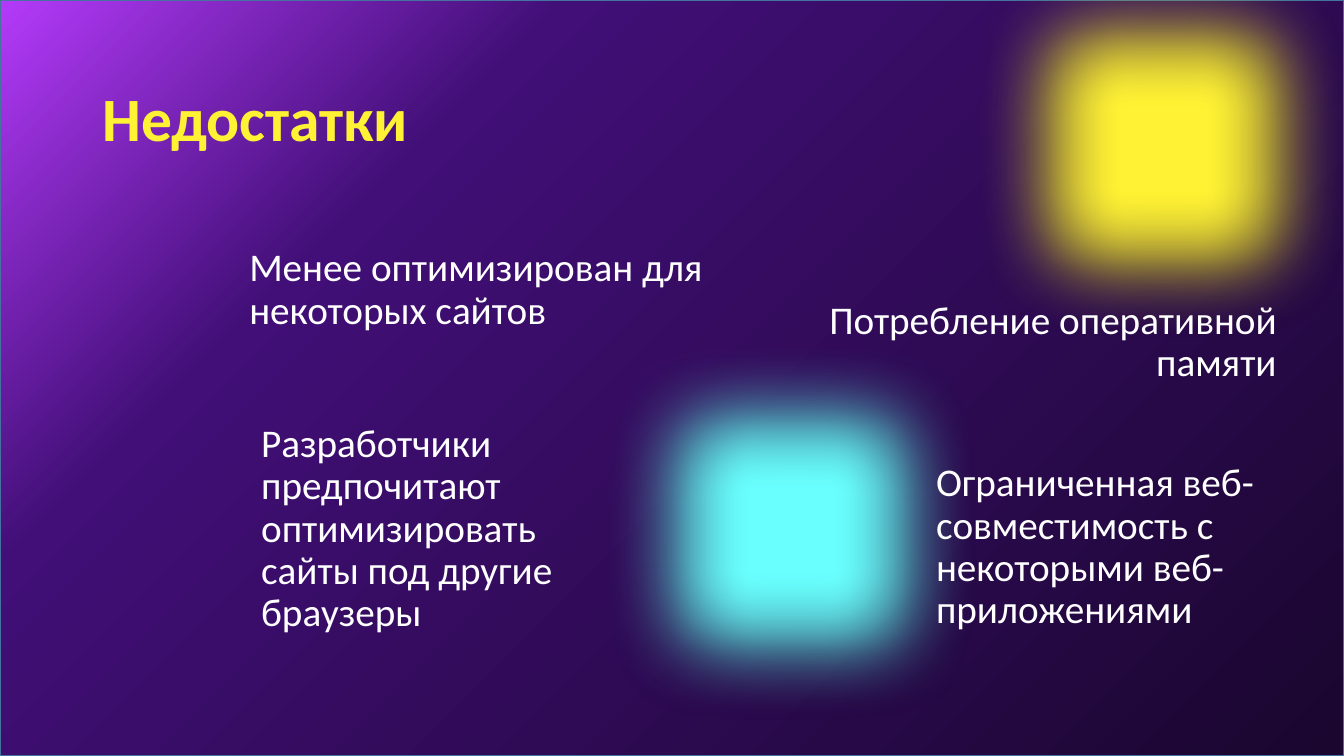
from dataclasses import dataclass

from lxml import etree
from pptx import Presentation
from pptx.dml.color import RGBColor
from pptx.enum import shapes, text
from pptx.oxml import ns
from pptx.util import Pt


@dataclass(frozen=True)
class Theme:
    font: str = "Calibri"
    title_size: int = 44
    body_size: int = 28
    yellow: str = "FFF234"
    cyan: str = "69FFFE"
    white: str = "FFFFFF"
    black: str = "000000"
    frame: str = "43739E"
    gradient: tuple = ((0, "B43AF9"), (27, "410F77"), (100, "1A062F"))


THEME = Theme()
WIDTH, HEIGHT = 960, 540
ORB_SIZE = 51
GLOW_RADIUS = 110


def add_element(parent, tag, **attributes):
    element = etree.SubElement(parent, ns.qn(tag))
    for name, value in attributes.items():
        element.set(name, str(value))
    return element


def add_outlined_shape(page, kind, left, top, width, height, fill, line):
    shape = page.shapes.add_shape(kind, Pt(left), Pt(top), Pt(width), Pt(height))
    shape.shadow.inherit = False
    shape.fill.solid()
    shape.fill.fore_color.rgb = RGBColor.from_string(fill)
    shape.line.color.rgb = RGBColor.from_string(line)
    shape.line.width = Pt(1)
    return shape


def add_backdrop(page):
    """Cover the page with a gradient spreading from the top left corner."""
    backdrop = add_outlined_shape(page, shapes.MSO_SHAPE.RECTANGLE, 0, 0.5,
                                  WIDTH, HEIGHT - 0.5, THEME.black, THEME.frame)
    properties = backdrop.element.spPr
    solid = properties.find(ns.qn("a:solidFill"))
    gradient = etree.Element(ns.qn("a:gradFill"), rotWithShape="1")
    stops = add_element(gradient, "a:gsLst")
    for percent, color in THEME.gradient:
        stop = add_element(stops, "a:gs", pos=percent * 1000)
        add_element(stop, "a:srgbClr", val=color)
    circle = add_element(gradient, "a:path", path="circle")
    add_element(circle, "a:fillToRect", r=100000, b=100000)
    add_element(gradient, "a:tileRect", l=-100000, t=-100000)
    properties.replace(solid, gradient)


def add_glowing_orb(page, left, top, color):
    orb = add_outlined_shape(page, shapes.MSO_SHAPE.OVAL, left, top,
                             ORB_SIZE, ORB_SIZE, color, color)
    effects = orb.element.spPr.find(ns.qn("a:effectLst"))
    glow = add_element(effects, "a:glow", rad=Pt(GLOW_RADIUS))
    add_element(glow, "a:srgbClr", val=color)
    shadow = add_element(effects, "a:outerShdw", blurRad=0, dist=Pt(4),
                         dir=90 * 60000, rotWithShape=0)
    shade = add_element(shadow, "a:srgbClr", val=THEME.black)
    add_element(shade, "a:alpha", val=43000)


def add_text(page, left, top, width, height, wording, size=THEME.body_size,
             color=THEME.white, bold=False, align=text.PP_ALIGN.LEFT,
             anchor=text.MSO_ANCHOR.TOP):
    box = page.shapes.add_textbox(Pt(left), Pt(top), Pt(width), Pt(height))
    frame = box.text_frame
    frame.word_wrap = True
    frame.vertical_anchor = anchor
    frame.text = wording
    para = frame.paragraphs[0]
    para.alignment = align
    para.line_spacing = 0.9
    font = para.runs[0].font
    font.name = THEME.font
    font.size = Pt(size)
    font.bold = bold
    font.color.rgb = RGBColor.from_string(color)


def main():
    deck = Presentation()
    deck.slide_width, deck.slide_height = Pt(WIDTH), Pt(HEIGHT)
    page = deck.slides.add_slide(deck.slide_layouts[6])

    add_backdrop(page)
    add_text(page, 66, 43, 618, 88, "Недостатки", size=THEME.title_size,
             color=THEME.yellow, bold=True, anchor=text.MSO_ANCHOR.MIDDLE)
    add_glowing_orb(page, 805, 80.5, THEME.yellow)
    add_text(page, 565, 211, 354, 63, "Потребление оперативной памяти",
             align=text.PP_ALIGN.RIGHT)
    add_text(page, 171, 173.5, 354, 63, "Менее оптимизирован для некоторых сайтов")
    add_glowing_orb(page, 539.5, 353.5, THEME.cyan)
    add_text(page, 661.5, 327, 278, 134,
             "Ограниченная веб-совместимость с некоторыми веб-приложениями")
    add_text(page, 179.5, 299, 272, 153,
             "Разработчики предпочитают оптимизировать сайты под другие браузеры")

    deck.save("out.pptx")


if __name__ == "__main__":
    main()
